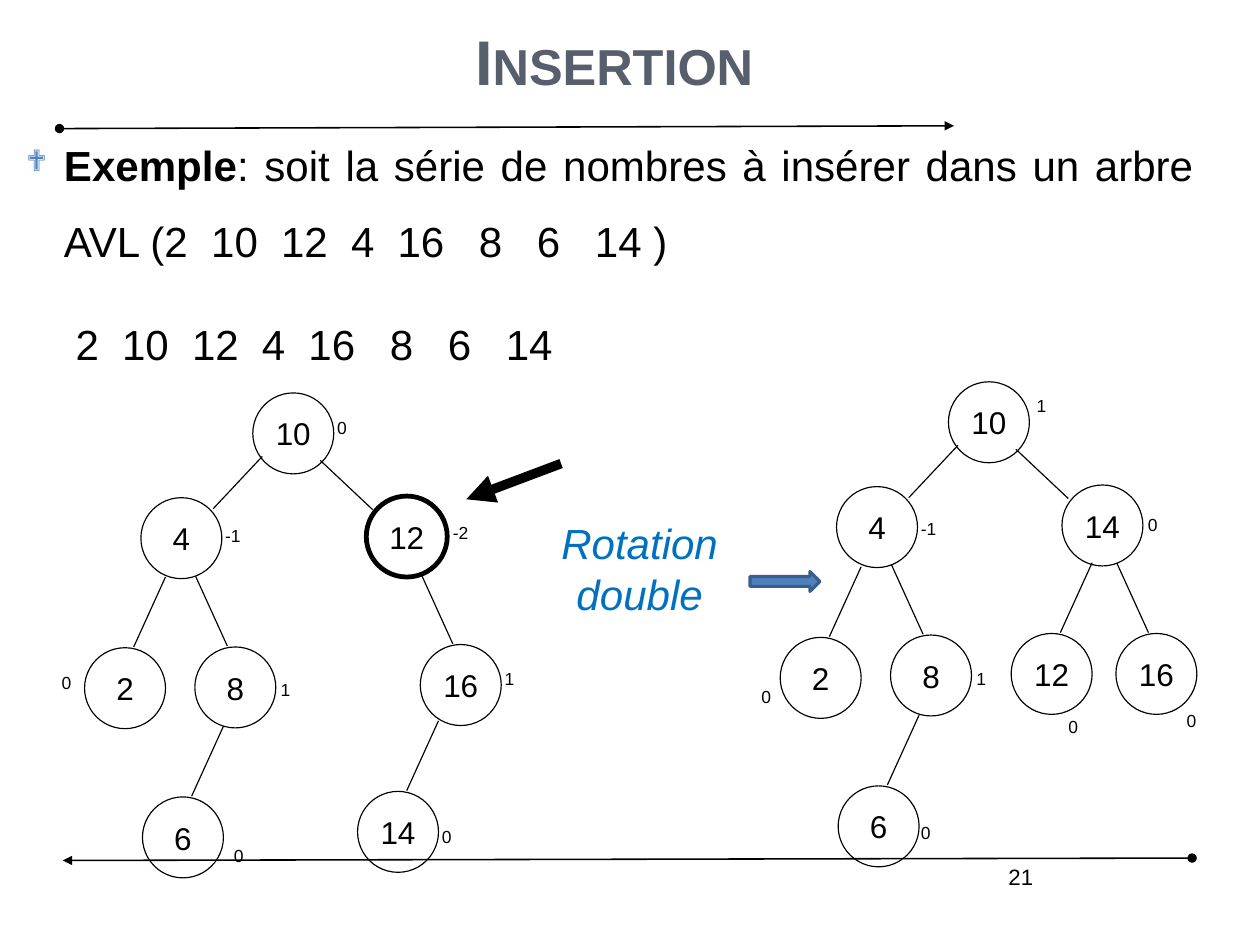
import pptx
import pptx.util
import pptx.dml.color
import pptx.enum.shapes
import pptx.enum.text
import pptx.oxml.ns
import lxml.etree

Pt = pptx.util.Pt
RGBColor = pptx.dml.color.RGBColor
SHAPE = pptx.enum.shapes.MSO_SHAPE
STRAIGHT = pptx.enum.shapes.MSO_CONNECTOR.STRAIGHT
ALIGN = pptx.enum.text.PP_ALIGN
ANCHOR = pptx.enum.text.MSO_ANCHOR
qn = pptx.oxml.ns.qn

BLACK = RGBColor(0x00, 0x00, 0x00)
SLATE = RGBColor(0x57, 0x5F, 0x6D)
BLUE = RGBColor(0x4F, 0x81, 0xBD)
DARK_BLUE = RGBColor(0x3A, 0x5F, 0x8C)
ROTATION_BLUE = RGBColor(0x00, 0x70, 0xC0)

BODY_SIZE = 26.5
SPACE_WIDTH = 7.2
NODE = 51
SERIES = [("2", 2), ("10", 2), ("12", 2), ("4", 2), ("16", 3), ("8", 3), ("6", 3), ("14", 0)]

EDGES = {
    "wide left": ((45.5, 7), (31, -33)),
    "wide right": ((4, 8.5), (-33, -31)),
    "left": ((31, -0.5), (20, -44)),
    "right": ((20.5, -0.5), (-20, -44)),
}
BEFORE = {
    "10": (106, 0, None, "0", 46, 11.5),
    "12": (177.5, 65, "wide right", "-2", 47.5, 12.5),
    "4": (35.5, 66, "wide left", "-1", 46, 13.5),
    "8": (69.5, 160, "right", "1", 47, 16.5),
    "16": (211.5, 158.5, "right", "1", 46, 11.5),
    "2": (0, 160.5, "left", "0", -21.5, 11.5),
    "6": (36.5, 254.5, "left", "0", 50.5, 26.5),
    "14": (172, 251, "left", "0", 46, 18),
}
AFTER = {
    "10": (106, 0, None, "1", 48.5, 4.5),
    "14": (177.5, 65, "wide right", "0", 47, 14.5),
    "4": (35.5, 66, "wide left", "-1", 46, 16),
    "8": (69.5, 159.5, "right", "1", 47, 17),
    "16": (211.5, 158.5, "right", "0", 37.5, 44.5),
    "2": (0, 161, "left", "0", -19, 27),
    "6": (36.5, 254.5, "left", "0", 45, 19),
    "12": (145.5, 158.5, "left", "0", 29, 48.5),
}


def add_run(p, text, size=BODY_SIZE, color=BLACK, bold=False, italic=False, small_caps=False, spacing=0):
    r = p.add_run()
    r.text = text
    r.font.name = "Arial"
    r.font.size = Pt(size)
    r.font.bold = bold
    r.font.italic = italic
    r.font.color.rgb = color
    rPr = r._r.get_or_add_rPr()
    if small_caps:
        rPr.set("cap", "small")
    if spacing:
        rPr.set("spc", str(round(spacing * 100)))


def add_series(p):
    for number, gap in SERIES:
        add_run(p, number)
        if gap:
            add_run(p, " ", spacing=SPACE_WIDTH * (gap - 1))


def add_text(shapes, box, text="", align=ALIGN.LEFT, anchor=ANCHOR.TOP, wrap=True, leading=None, **font):
    sp = shapes.add_textbox(*map(Pt, box))
    tf = sp.text_frame
    tf.word_wrap = wrap
    tf.vertical_anchor = anchor
    p = tf.paragraphs[0]
    p.alignment = align
    if leading:
        p.line_spacing = leading
    if text:
        add_run(p, text, **font)
    return p


def add_line(shapes, start, end, width=0.75, head=None, tail=None):
    line = shapes.add_connector(STRAIGHT, *map(Pt, (*start, *end)))
    line.line.color.rgb = BLACK
    line.line.width = Pt(width)
    ln = line.line._get_or_add_ln()
    for tag, kind in (("a:headEnd", head), ("a:tailEnd", tail)):
        if kind:
            lxml.etree.SubElement(ln, qn(tag), type=kind)
    lxml.etree.SubElement(line._element.spPr, qn("a:effectLst"))


def add_frame(shapes):
    add_line(shapes, (37.5, 81), (601, 79.25), 1, "oval", "triangle")
    add_line(shapes, (751, 540.5), (39.5, 542), 1, "oval", "triangle")
    add_text(shapes, (473, 540.5, 185, 41), "21", align=ALIGN.RIGHT, size=14)


def add_title(shapes, box):
    add_text(shapes, box, "Insertion", align=ALIGN.CENTER, anchor=ANCHOR.BOTTOM, leading=1.5,
             size=39.7, color=SLATE, bold=True, small_caps=True)


def add_example(shapes, box):
    p = add_text(shapes, box, "Exemple", align=ALIGN.JUSTIFY, leading=1.5, bold=True)
    p.space_before = Pt(6.6)
    add_run(p, ": soit la série de nombres à insérer dans un arbre AVL (")
    add_series(p)
    add_run(p, " )")
    pPr = p._p.get_or_add_pPr()
    pPr.set("marL", str(Pt(23.75)))
    pPr.set("indent", str(-Pt(23.75)))
    color = lxml.etree.SubElement(pPr, qn("a:buClr"))
    lxml.etree.SubElement(color, qn("a:srgbClr"), val=str(BLUE))
    lxml.etree.SubElement(pPr, qn("a:buSzPct"), val="70000")
    lxml.etree.SubElement(pPr, qn("a:buFont"), typeface="Wingdings", charset="2")
    lxml.etree.SubElement(pPr, qn("a:buChar"), char="❖")
    add_series(add_text(shapes, (box[0] + 31, box[1] + 129, 335, 39.5), wrap=False))


def add_node(shapes, x, y, value, width):
    sp = shapes.add_shape(SHAPE.OVAL, Pt(x), Pt(y), Pt(NODE), Pt(NODE))
    sp.shadow.inherit = False
    sp.fill.background()
    sp.line.color.rgb = BLACK
    sp.line.width = Pt(width)
    tf = sp.text_frame
    tf.word_wrap = False
    tf.margin_left = tf.margin_right = tf.margin_top = tf.margin_bottom = 0
    tf.vertical_anchor = ANCHOR.MIDDLE
    p = tf.paragraphs[0]
    p.alignment = ALIGN.CENTER
    add_run(p, value, size=19.8)


def add_tree(shapes, left, top, nodes, pivot=None):
    group = shapes.add_group_shape().shapes
    for value, (dx, dy, edge, balance, bx, by) in nodes.items():
        x, y = left + dx, top + dy
        add_node(group, x, y, value, 3 if value == pivot else 0.75)
        if edge:
            (ex, ey), (sx, sy) = EDGES[edge]
            add_line(group, (x + ex + sx, y + ey + sy), (x + ex, y + ey))
        add_text(group, (x + bx, y + by, 17 + 4 * len(balance), 21), balance, wrap=False, size=11)


def add_rotation(shapes, left, top):
    add_line(shapes, (left + 13, top - 30.5), (left - 46.75, top - 8), 6, tail="triangle")
    add_text(shapes, (left, top, 125, 71.5), "Rotation double", align=ALIGN.CENTER,
             color=ROTATION_BLUE, italic=True)
    arrow = shapes.add_shape(SHAPE.RIGHT_ARROW, Pt(left + 132), Pt(top + 37.5), Pt(44), Pt(12.5))
    arrow.shadow.inherit = False
    arrow.fill.solid()
    arrow.fill.fore_color.rgb = BLUE
    arrow.line.color.rgb = DARK_BLUE
    arrow.line.width = Pt(2)


def main():
    prs = pptx.Presentation()
    prs.slide_width, prs.slide_height = Pt(793.75), Pt(595.25)
    s = prs.slides.add_slide(prs.slide_layouts[6])
    add_frame(s.shapes)
    add_title(s.shapes, (39.5, -65, 695, 130.5))
    add_example(s.shapes, (9.5, 68.25, 750, 527))
    add_tree(s.shapes, 53.25, 247.5, BEFORE, pivot="12")
    add_rotation(s.shapes, 340.5, 322.5)
    add_tree(s.shapes, 491.5, 240.5, AFTER)
    prs.save("out.pptx")


if __name__ == "__main__":
    main()
